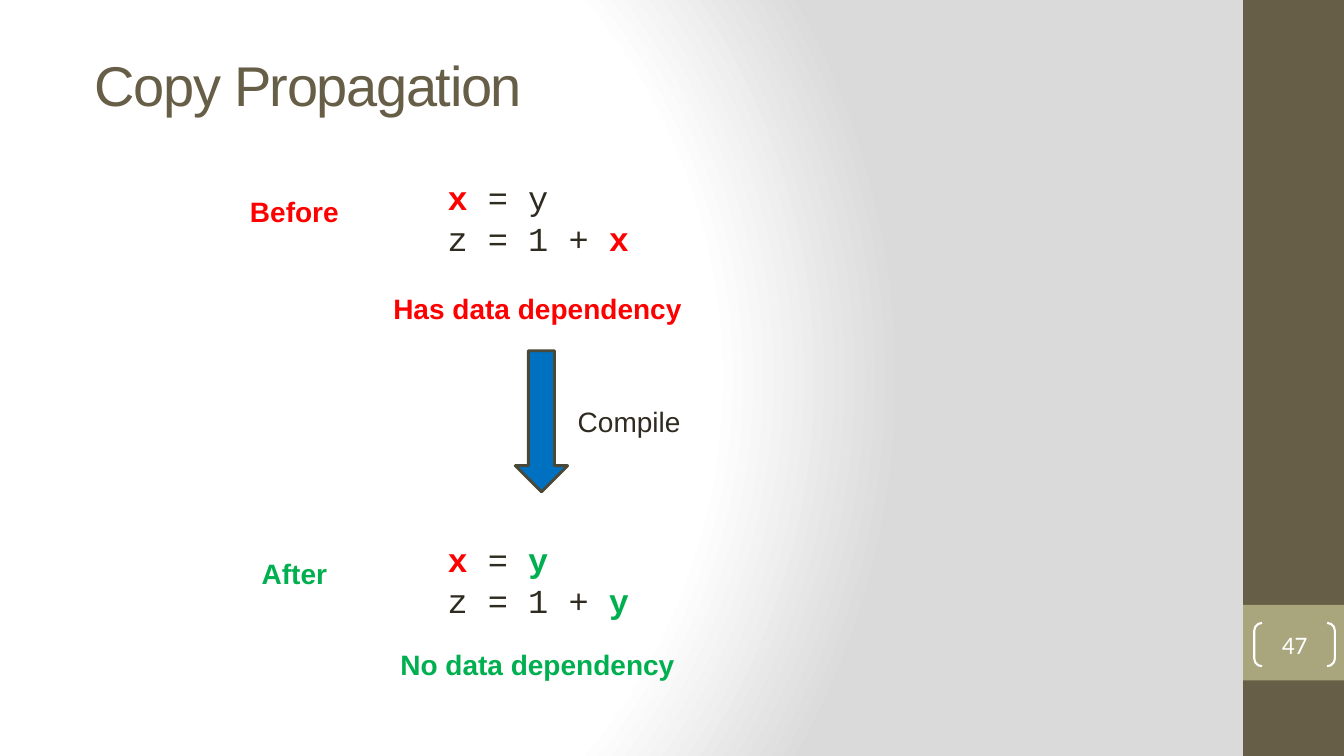
from pptx import Presentation
from pptx.dml.color import RGBColor
from pptx.enum.shapes import MSO_SHAPE as Preset
from pptx.enum.text import MSO_ANCHOR as Anchor, MSO_AUTO_SIZE as AutoSize, PP_ALIGN as Align
from pptx.oxml import parse_xml
from pptx.oxml.ns import nsdecls
from pptx.util import Inches, Pt

RED, GREEN, INK, BROWN, WHITE = "FF0000", "00B050", "2F2B20", "675E47", "FFFFFF"
BACKGROUND = f"""<p:bg {nsdecls('p', 'a')}><p:bgPr><a:gradFill rotWithShape="1"><a:gsLst>
<a:gs pos="0"><a:srgbClr val="FFFFFF"/></a:gs>
<a:gs pos="75000"><a:srgbClr val="FFFFFF"/></a:gs>
<a:gs pos="100000"><a:srgbClr val="DADADA"/></a:gs></a:gsLst>
<a:path path="circle"><a:fillToRect l="20000" t="50000" r="100000" b="50000"/></a:path>
</a:gradFill><a:effectLst/></p:bgPr></p:bg>"""


def rgb(color):
    """Turn a hex string into a colour."""
    return RGBColor.from_string(color)


def box(place):
    """Convert left, top, width and height to lengths."""
    return [Inches(length) for length in place]


def style(run, size, color, font="Arial", bold=False):
    """Format one run."""
    run.font.size, run.font.name, run.font.bold = Pt(size), font, bold
    run.font.color.rgb = rgb(color)


def add_preset(slide, preset, place, fill=None, line=None, width=1):
    """Add a shadowless preset shape with optional fill and outline."""
    shape = slide.shapes.add_shape(preset, *box(place))
    shape.shadow.inherit = False
    if fill:
        shape.fill.solid()
        shape.fill.fore_color.rgb = rgb(fill)
    else:
        shape.fill.background()
    if line:
        shape.line.color.rgb = rgb(line)
        shape.line.width = Pt(width)
    else:
        shape.line.fill.background()
    return shape


def add_frame(slide, place):
    """Add a wrapping text box and return its text frame."""
    frame = slide.shapes.add_textbox(*box(place)).text_frame
    frame.word_wrap = True
    frame.auto_size = AutoSize.SHAPE_TO_FIT_TEXT
    return frame


def add_label(slide, text, place, color, bold=True):
    """Add a centred label."""
    label = add_frame(slide, place).paragraphs[0]
    label.text = text
    label.alignment = Align.CENTER
    style(label.runs[0], 20, color, bold=bold)


def add_code(slide, top, lines):
    """Add code lines whose coloured tokens are bold."""
    frame = add_frame(slide, (3.89, top, 3.48, 0.91))
    for index, tokens in enumerate(lines):
        line = frame.add_paragraph() if index else frame.paragraphs[0]
        line.level, line.alignment = 1, Align.JUSTIFY
        properties = line._p.get_or_add_pPr()
        properties.set("marL", str(Inches(0.45)))
        properties.set("indent", "0")
        for text, color in tokens:
            run = line.add_run()
            run.text = text
            style(run, 24, color, "Courier New", color != INK)


def add_stage(slide, top, name, verdict, verdict_top, color, lines):
    """Add one compilation stage: its name, code and verdict."""
    add_code(slide, top, lines)
    add_label(slide, name, (2.05, top + 0.17, 1.74, 0.44), color)
    add_label(slide, verdict, (3.05, verdict_top, 4.64, 0.44), color)


def add_title(slide, text):
    """Fill and place the title placeholder."""
    title = slide.shapes.title
    title.left, title.top, title.width, title.height = box((0.84, 0.61, 10.91, 0.45))
    frame = title.text_frame
    frame.text = text
    frame.auto_size, frame.vertical_anchor = AutoSize.NONE, Anchor.MIDDLE
    heading = frame.paragraphs[0]
    heading.alignment = Align.LEFT
    style(heading.runs[0], 40, BROWN)
    heading.runs[0].font._element.set("spc", "-100")


def add_page_number(slide, number):
    """Add the bracketed page number."""
    brackets = add_preset(slide, Preset.DOUBLE_BRACKET, (12.44, 6.18, 0.8, 0.43),
                          line=WHITE, width=1.5)
    brackets.adjustments[0] = 0.18
    frame = brackets.text_frame
    frame.margin_left = frame.margin_right = frame.margin_top = frame.margin_bottom = 0
    frame.vertical_anchor = Anchor.MIDDLE
    frame.text = number
    frame.paragraphs[0].alignment = Align.CENTER
    style(frame.paragraphs[0].runs[0], 18, WHITE, "Calibri")


def main():
    """Build and save the slide."""
    deck = Presentation()
    deck.slide_width, deck.slide_height = Inches(13.33), Inches(7.5)
    slide = deck.slides.add_slide(deck.slide_layouts[5])
    slide._element.cSld.insert(0, parse_xml(BACKGROUND))
    add_preset(slide, Preset.RECTANGLE, (12.33, 0, 1, 7.5), BROWN)
    add_preset(slide, Preset.RECTANGLE, (12.33, 6, 1, 0.75), "A9A57C")
    add_title(slide, "Copy Propagation")
    add_page_number(slide, "47")
    add_stage(slide, 1.71, "Before", "Has data dependency ", 2.84, RED,
              [[("x", RED), (" = y", INK)], [("z = 1 + ", INK), ("x", RED)]])
    arrow = add_preset(slide, Preset.RIGHT_ARROW, (4.67, 3.92, 1.4, 0.52),
                       "0070C0", "4A4836", 2)
    arrow.rotation = 90
    add_label(slide, "Compile", (5.37, 3.96, 1.74, 0.44), INK, bold=False)
    add_stage(slide, 5.3, "After", "No data dependency ", 6.37, GREEN,
              [[("x", RED), (" = ", INK), ("y", GREEN)],
               [("z = 1 + ", INK), ("y", GREEN)]])
    deck.save("out.pptx")


if __name__ == "__main__":
    main()
